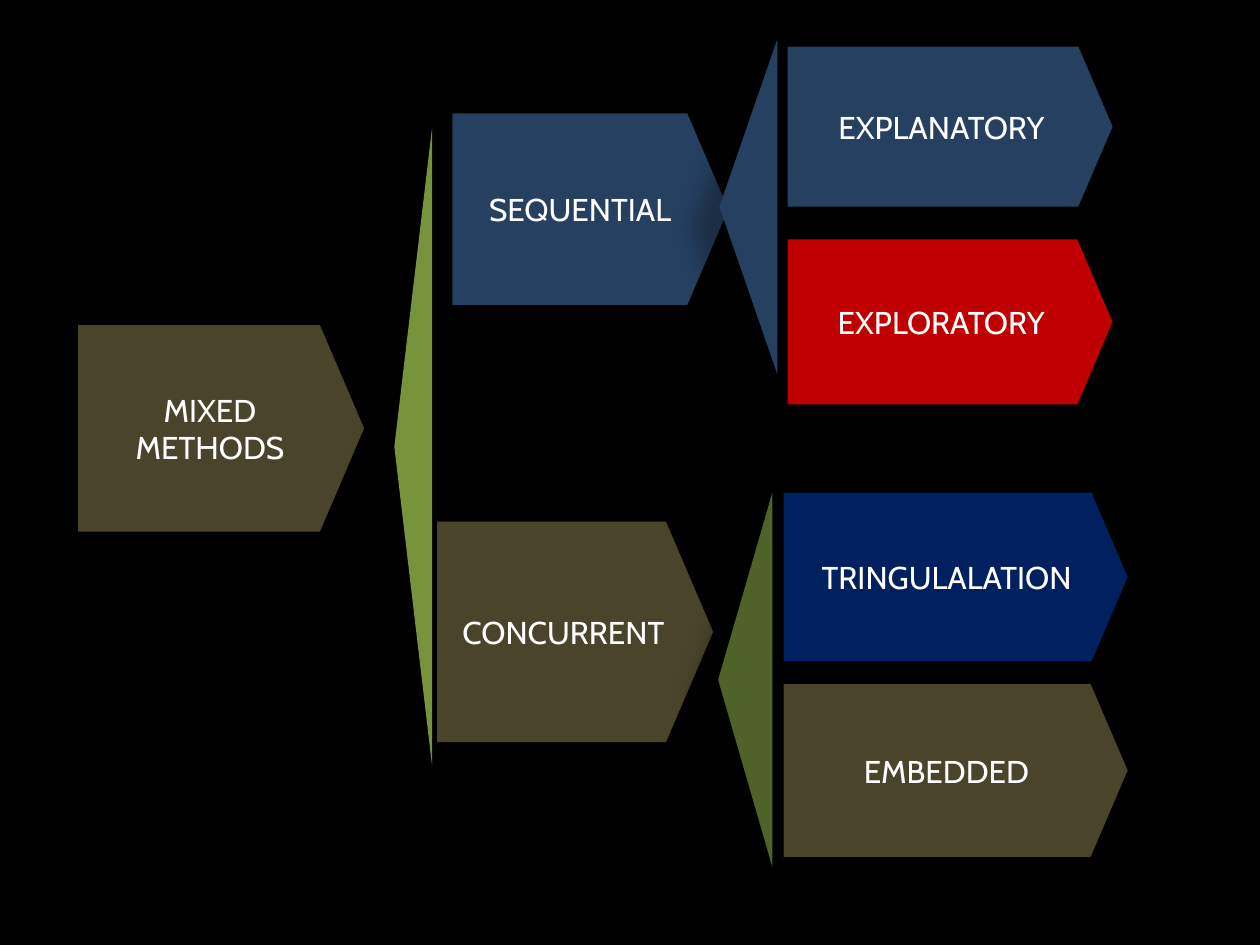
import pptx
import pptx.dml.color
import pptx.enum.shapes
import pptx.enum.text
import pptx.oxml
import pptx.oxml.ns
import pptx.util

Inches = pptx.util.Inches
Color = pptx.dml.color.RGBColor
Kind = pptx.enum.shapes.MSO_SHAPE

BLACK = Color(0x00, 0x00, 0x00)
WHITE = Color(0xFF, 0xFF, 0xFF)
BROWN = Color(0x4A, 0x45, 0x2A)
STEEL = Color(0x25, 0x40, 0x61)
RED = Color(0xC0, 0x00, 0x00)
NAVY = Color(0x00, 0x20, 0x60)
LIME = Color(0x77, 0x93, 0x3C)
OLIVE = Color(0x4F, 0x62, 0x28)

SHADE = (
    f'<a:outerShdw {pptx.oxml.ns.nsdecls("a")} blurRad="149860" dist="250190" '
    'dir="8460000" algn="ctr" rotWithShape="0"><a:srgbClr val="000000">'
    '<a:alpha val="28000"/></a:srgbClr></a:outerShdw>'
)


def add_part(slide, kind, box, fill):
    """Add a borderless, softly shaded shape in the box, in inches."""
    part = slide.shapes.add_shape(kind, *map(Inches, box))
    part.fill.solid()
    part.fill.fore_color.rgb = fill
    part.line.fill.background()
    part.shadow.inherit = False
    glow = part._element.spPr.find(pptx.oxml.ns.qn("a:effectLst"))
    glow.append(pptx.oxml.parse_xml(SHADE))
    return part


def add_plate(slide, box, text, fill):
    """Add a labelled pentagon that points right."""
    plate = add_part(slide, Kind.PENTAGON, box, fill)
    plate.adjustments[0] = 0.214
    frame = plate.text_frame
    frame.text = text
    frame.word_wrap = True
    frame.vertical_anchor = pptx.enum.text.MSO_ANCHOR.MIDDLE
    line = frame.paragraphs[0]
    line.alignment = pptx.enum.text.PP_ALIGN.CENTER
    font = line.runs[0].font
    font.name = "Cabin"
    font.size = pptx.util.Pt(18)
    font.color.rgb = WHITE


def add_wedge(slide, box, fill):
    """Add a triangle that points left and fills the box."""
    left, top, width, height = box
    shift = (width - height) / 2
    wedge = add_part(
        slide, Kind.ISOSCELES_TRIANGLE,
        (left + shift, top - shift, height, width), fill,
    )
    wedge.rotation = 270


def add_fan(slide, box, fill, plates):
    """Add a wedge in the box and plates set off from its top left."""
    left, top = box[:2]
    for right, down, width, height, text, tint in plates:
        add_plate(slide, (left + right, top + down, width, height), text, tint)
    add_wedge(slide, box, fill)


def main():
    """Build the tree of mixed methods and save it."""
    deck = pptx.Presentation()
    deck.slide_width, deck.slide_height = Inches(10), Inches(7.5)
    slide = deck.slides.add_slide(deck.slide_layouts[6])
    slide.background.fill.solid()
    slide.background.fill.fore_color.rgb = BLACK

    add_plate(slide, (0.62, 2.58, 2.27, 1.64), "MIXED METHODS", BROWN)
    add_fan(slide, (3.13, 1.01, 0.3, 5.07), LIME, [
        (0.46, -0.11, 2.19, 1.52, "SEQUENTIAL", STEEL),
        (0.34, 3.13, 2.19, 1.75, "CONCURRENT", BROWN),
    ])
    add_fan(slide, (5.71, 0.31, 0.46, 2.66), STEEL, [
        (0.54, 0.06, 2.58, 1.27, "EXPLANATORY", STEEL),
        (0.54, 1.59, 2.58, 1.31, "EXPLORATORY", RED),
    ])
    add_fan(slide, (5.7, 3.91, 0.43, 2.97), OLIVE, [
        (0.52, 0, 2.73, 1.34, "TRINGULALATION", NAVY),
        (0.52, 1.52, 2.73, 1.37, "EMBEDDED", BROWN),
    ])
    deck.save("out.pptx")


if __name__ == "__main__":
    main()
